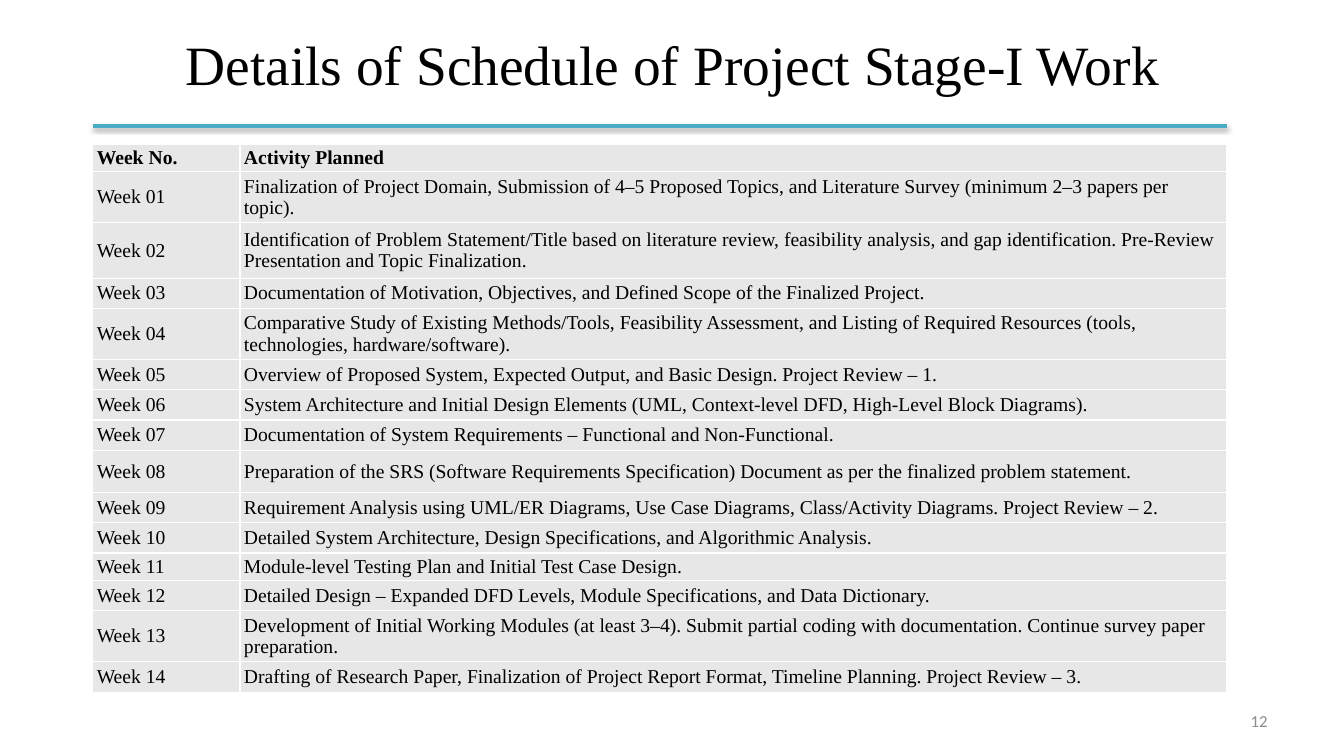
from lxml import etree
from pptx import Presentation
from pptx.dml.color import RGBColor
from pptx.enum.shapes import MSO_CONNECTOR
from pptx.enum.text import MSO_ANCHOR, PP_ALIGN
from pptx.oxml import parse_xml
from pptx.oxml.ns import nsdecls, qn
from pptx.util import Inches, Pt

STRAIGHT = MSO_CONNECTOR.STRAIGHT
TOP, MIDDLE = MSO_ANCHOR.TOP, MSO_ANCHOR.MIDDLE
LEFT, CENTER, RIGHT = PP_ALIGN.LEFT, PP_ALIGN.CENTER, PP_ALIGN.RIGHT

BLACK = RGBColor(0x00, 0x00, 0x00)
WHITE = RGBColor(0xFF, 0xFF, 0xFF)
TEAL = RGBColor(0x4B, 0xAC, 0xC6)
CELL_GRAY = RGBColor(0xE7, 0xE7, 0xE7)
NUMBER_GRAY = RGBColor(0x8C, 0x8C, 0x8C)
SERIF, SANS = "Times New Roman", "Calibri"

HEADINGS = ("Week No.", "Activity Planned")
HEADING_HEIGHT = 0.17
COLUMN_WIDTHS = (1.46, 9.79)
SCHEDULE = [
    (0.42, "Finalization of Project Domain, Submission of 4–5 Proposed Topics, and Literature Survey "
           "(minimum 2–3 papers per topic)."),
    (0.55, "Identification of Problem Statement/Title based on literature review, feasibility analysis, "
           "and gap identification. Pre-Review Presentation and Topic Finalization."),
    (0.3, "Documentation of Motivation, Objectives, and Defined Scope of the Finalized Project."),
    (0.42, "Comparative Study of Existing Methods/Tools, Feasibility Assessment, and Listing of "
           "Required Resources (tools, technologies, hardware/software)."),
    (0.3, "Overview of Proposed System, Expected Output, and Basic Design. Project Review – 1."),
    (0.3, "System Architecture and Initial Design Elements (UML, Context-level DFD, "
          "High-Level Block Diagrams)."),
    (0.3, "Documentation of System Requirements – Functional and Non-Functional."),
    (0.42, "Preparation of the SRS (Software Requirements Specification) Document as per the "
           "finalized problem statement."),
    (0.3, "Requirement Analysis using UML/ER Diagrams, Use Case Diagrams, Class/Activity Diagrams. "
          "Project Review – 2."),
    (0.3, "Detailed System Architecture, Design Specifications, and Algorithmic Analysis."),
    (0.17, "Module-level Testing Plan and Initial Test Case Design."),
    (0.3, "Detailed Design – Expanded DFD Levels, Module Specifications, and Data Dictionary."),
    (0.42, "Development of Initial Working Modules (at least 3–4). Submit partial coding with "
           "documentation. Continue survey paper preparation."),
    (0.3, "Drafting of Research Paper, Finalization of Project Report Format, Timeline Planning. "
          "Project Review – 3."),
]


def apply_format(target, values):
    for attribute, value in values.items():
        setattr(target, attribute, value)


def write(frame, text, align, color, **font_values):
    paragraph = frame.paragraphs[0]
    paragraph.alignment = align
    run = paragraph.add_run()
    run.text = text
    apply_format(run.font, font_values)
    run.font.color.rgb = color


def add_label(slide, box, text, align, anchor, color, **font_values):
    frame = slide.shapes.add_textbox(*map(Inches, box)).text_frame
    apply_format(frame, {"word_wrap": True, "vertical_anchor": anchor,
                         "margin_top": 0, "margin_bottom": 0})
    write(frame, text, align, color, **font_values)


def add_title_rule(slide, left, top, width):
    rule = slide.shapes.add_connector(
        STRAIGHT, Inches(left), Inches(top), Inches(left + width), Inches(top))
    rule.line.color.rgb = TEAL
    rule.line.width = Pt(3)
    effects = etree.SubElement(rule._element.spPr, qn("a:effectLst"))
    shadow = etree.SubElement(effects, qn("a:outerShdw"), blurRad=str(Pt(3.1)),
                              dist=str(Pt(1.8)), dir="5400000", rotWithShape="0")
    shade = etree.SubElement(shadow, qn("a:srgbClr"), val=str(BLACK))
    etree.SubElement(shade, qn("a:alpha"), val="35000")


def style_cell(cell, text, bold):
    apply_format(cell, {"vertical_anchor": MIDDLE,
                        "margin_left": Inches(0.04), "margin_right": Inches(0.04),
                        "margin_top": Inches(0.02), "margin_bottom": Inches(0.02)})
    properties = cell._tc.get_or_add_tcPr()
    for side in ("lnL", "lnR", "lnT", "lnB"):
        properties.append(parse_xml(
            f'<a:{side} {nsdecls("a")} w="{Pt(1)}"><a:solidFill>'
            f'<a:srgbClr val="{WHITE}"/></a:solidFill></a:{side}>'))
    cell.fill.solid()
    cell.fill.fore_color.rgb = CELL_GRAY
    write(cell.text_frame, text, LEFT, BLACK, name=SERIF, size=Pt(14), bold=bold)


def add_schedule(slide, left, top, width):
    rows = [(HEADING_HEIGHT, *HEADINGS)]
    rows += [(height, f"Week {week:02d}", activity)
             for week, (height, activity) in enumerate(SCHEDULE, 1)]
    total_height = sum(row[0] for row in rows)
    table = slide.shapes.add_table(
        len(rows), len(HEADINGS), Inches(left), Inches(top),
        Inches(width), Inches(total_height)).table
    apply_format(table, {"first_row": False, "horz_banding": False})
    for column, share in zip(table.columns, COLUMN_WIDTHS):
        column.width = Inches(width * share / sum(COLUMN_WIDTHS))
    for index, (height, *texts) in enumerate(rows):
        table.rows[index].height = Inches(height)
        for cell, text in zip(table.rows[index].cells, texts):
            style_cell(cell, text, bold=index == 0)


def build_schedule_slide(presentation):
    slide = presentation.slides.add_slide(presentation.slide_layouts[6])
    left, width = 0.92, 11.25
    add_label(slide, (0.67, 0.3, 12, 1.25), "Details of Schedule of Project Stage-I Work",
              CENTER, TOP, BLACK, name=SERIF, size=Pt(39.6))
    add_label(slide, (9.56, 6.95, 3.11, 0.4), "12", RIGHT, MIDDLE, NUMBER_GRAY,
              name=SANS, size=Pt(12))
    add_title_rule(slide, left, 1.25, width)
    add_schedule(slide, left, 1.43, width)


def main():
    presentation = Presentation()
    presentation.slide_width = Inches(13.33)
    presentation.slide_height = Inches(7.5)
    build_schedule_slide(presentation)
    presentation.save("out.pptx")


if __name__ == "__main__":
    main()
